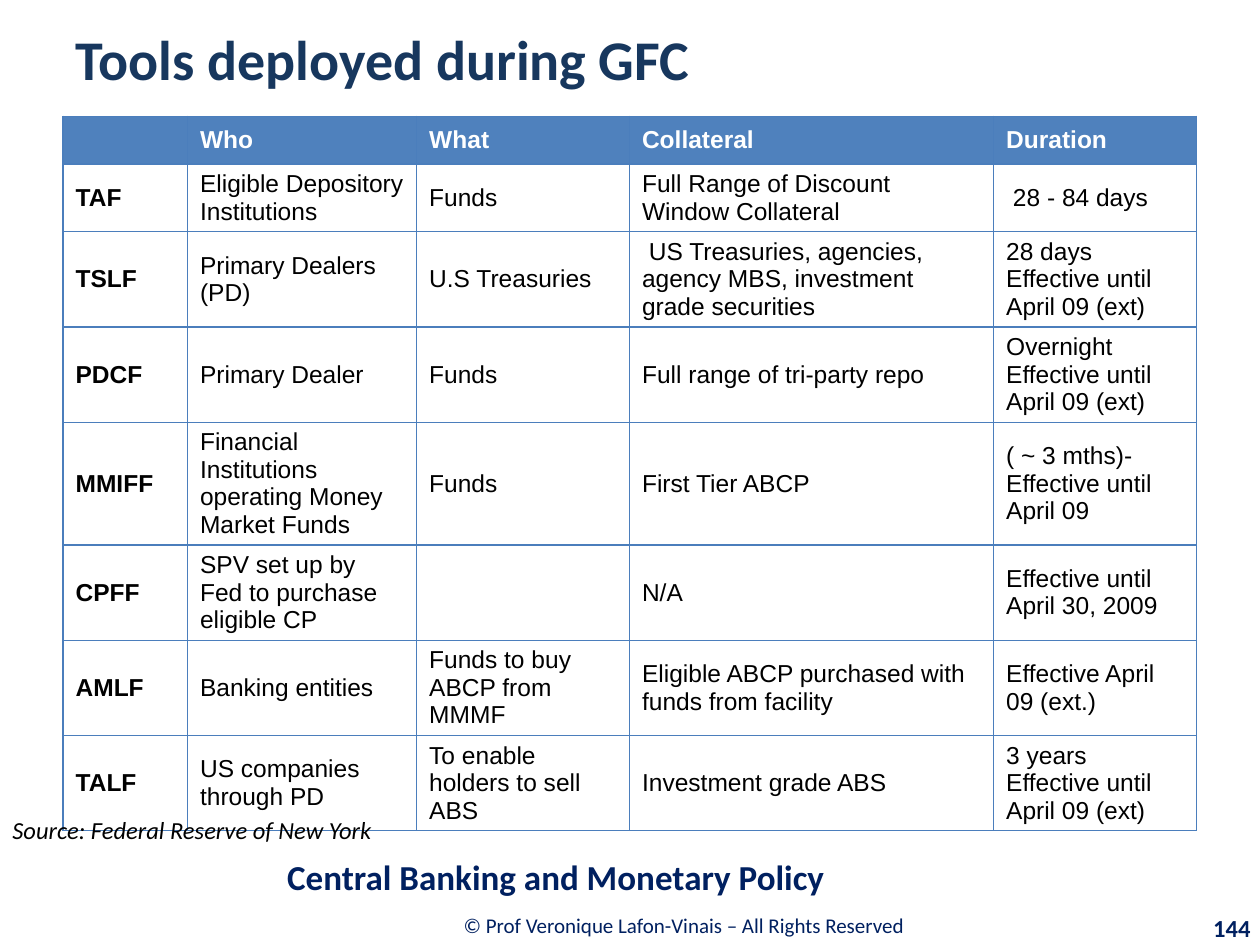
from pptx import Presentation
from pptx.dml.color import RGBColor
from pptx.enum.text import MSO_ANCHOR, PP_ALIGN
from pptx.oxml import parse_xml
from pptx.oxml.ns import nsdecls
from pptx.util import Cm, Pt

NAVY = RGBColor(0x00, 0x20, 0x60)
TITLE_BLUE = RGBColor(0x17, 0x37, 0x5E)
HEADER_BLUE = RGBColor(0x4F, 0x81, 0xBD)
BORDER_BLUE = RGBColor(0x4B, 0x7E, 0xBC)
BLACK = RGBColor(0, 0, 0)
WHITE = RGBColor(0xFF, 0xFF, 0xFF)

COLUMN_WIDTHS = [2.51, 4.62, 4.29, 7.34, 4.09]
ROW_HEIGHTS = [0.84, 1.22, 1.73, 1.73, 2.24, 1.37, 1.42, 1.73]
UNTIL_APRIL = "Effective until April 09 (ext)"
# A line break inside a cell text starts a new paragraph
TOOLS = [
    ["", "Who", "What", "Collateral", "Duration"],
    ["TAF", "Eligible Depository Institutions", "Funds",
     "Full Range of Discount Window Collateral", " 28 - 84 days"],
    ["TSLF", "Primary Dealers (PD)", "U.S Treasuries",
     " US Treasuries, agencies, agency MBS, investment grade securities",
     "28 days\n" + UNTIL_APRIL],
    ["PDCF", "Primary Dealer", "Funds", "Full range of tri-party repo",
     "Overnight\n" + UNTIL_APRIL],
    ["MMIFF", "Financial Institutions operating Money Market Funds", "Funds",
     "First Tier ABCP", "( ~ 3 mths)- Effective until April 09"],
    ["CPFF", "SPV set up by Fed to purchase eligible CP", "", "N/A",
     "Effective until April 30, 2009"],
    ["AMLF", "Banking entities", "Funds to buy ABCP from MMMF",
     "Eligible ABCP purchased with funds from facility",
     "Effective April 09 (ext.)"],
    ["TALF", "US companies through PD", "To enable holders to sell ABS",
     "Investment grade ABS", "3 years\n" + UNTIL_APRIL],
]


def add_run(paragraph, text, size, color, font="Calibri", bold=False, italic=False):
    run = paragraph.add_run()
    run.text = text
    run.font.name = font
    run.font.size = Pt(size)
    run.font.bold = bold
    run.font.italic = italic
    run.font.color.rgb = color


def place(part, box):
    part.left, part.top, part.width, part.height = (Cm(length) for length in box)


def add_title(slide, box):
    title = slide.shapes.title
    place(title, box)
    title.text_frame.vertical_anchor = MSO_ANCHOR.MIDDLE
    heading = title.text_frame.paragraphs[0]
    heading.alignment = PP_ALIGN.LEFT
    add_run(heading, "Tools deployed during GFC", 32, TITLE_BLUE, bold=True)


def add_borders(cell):
    properties = cell._tc.get_or_add_tcPr()
    for position, side in enumerate("LRTB"):
        properties.insert(position, parse_xml(
            f'<a:ln{side} {nsdecls("a")} w="{Pt(0.75)}"><a:solidFill>'
            f'<a:srgbClr val="{BORDER_BLUE}"/></a:solidFill></a:ln{side}>'))


def fill_cell(cell, text, is_header, is_name):
    cell.vertical_anchor = MSO_ANCHOR.MIDDLE
    cell.fill.solid()
    cell.fill.fore_color.rgb = HEADER_BLUE if is_header else WHITE
    add_borders(cell)
    for number, line in enumerate(text.split("\n")):
        frame = cell.text_frame
        paragraph = frame.add_paragraph() if number else frame.paragraphs[0]
        add_run(paragraph, line, 14, WHITE if is_header else BLACK,
                font="Arial", bold=is_header or is_name)


def add_tools_table(slide, left, top):
    table = slide.shapes.add_table(
        len(TOOLS), len(COLUMN_WIDTHS), Cm(left), Cm(top),
        Cm(sum(COLUMN_WIDTHS)), Cm(sum(ROW_HEIGHTS))).table
    table.horz_banding = False
    for column, width in zip(table.columns, COLUMN_WIDTHS):
        column.width = Cm(width)
    for row, height in zip(table.rows, ROW_HEIGHTS):
        row.height = Cm(height)
    for r, tool in enumerate(TOOLS):
        for c, text in enumerate(tool):
            fill_cell(table.cell(r, c), text, r == 0, c == 0)


def add_line(slide, box, text, size, color, align=PP_ALIGN.LEFT,
             anchor=MSO_ANCHOR.MIDDLE, **style):
    label = slide.shapes.add_textbox(*(Cm(length) for length in box))
    label.text_frame.word_wrap = True
    label.text_frame.vertical_anchor = anchor
    paragraph = label.text_frame.paragraphs[0]
    paragraph.alignment = align
    add_run(paragraph, text, size, color, **style)


def add_footer(slide, top):
    # Source, course name, copyright line and page number
    add_line(slide, (0, top, 9.53, 0.86), "Source: Federal Reserve of New York",
             14, BLACK, anchor=MSO_ANCHOR.TOP, italic=True)
    add_line(slide, (5.54, top + 0.76, 19.86, 1.19),
             "Central Banking and Monetary Policy", 20, NAVY, bold=True)
    add_line(slide, (5.56, top + 1.85, 16.46, 0.99),
             "© Prof Veronique Lafon-Vinais – All Rights Reserved",
             12, NAVY, PP_ALIGN.CENTER)
    add_line(slide, (22.89, top + 1.98, 2.57, 0.81), "144", 14, NAVY,
             PP_ALIGN.RIGHT, bold=True)


def main():
    presentation = Presentation()
    presentation.slide_width = Cm(25.4)
    presentation.slide_height = Cm(19.05)
    slide = presentation.slides.add_slide(presentation.slide_layouts[5])
    add_title(slide, (1.27, 0.43, 22.86, 1.47))
    add_tools_table(slide, 1.27, 2.34)
    add_footer(slide, 16.31)
    presentation.save("out.pptx")


if __name__ == "__main__":
    main()
